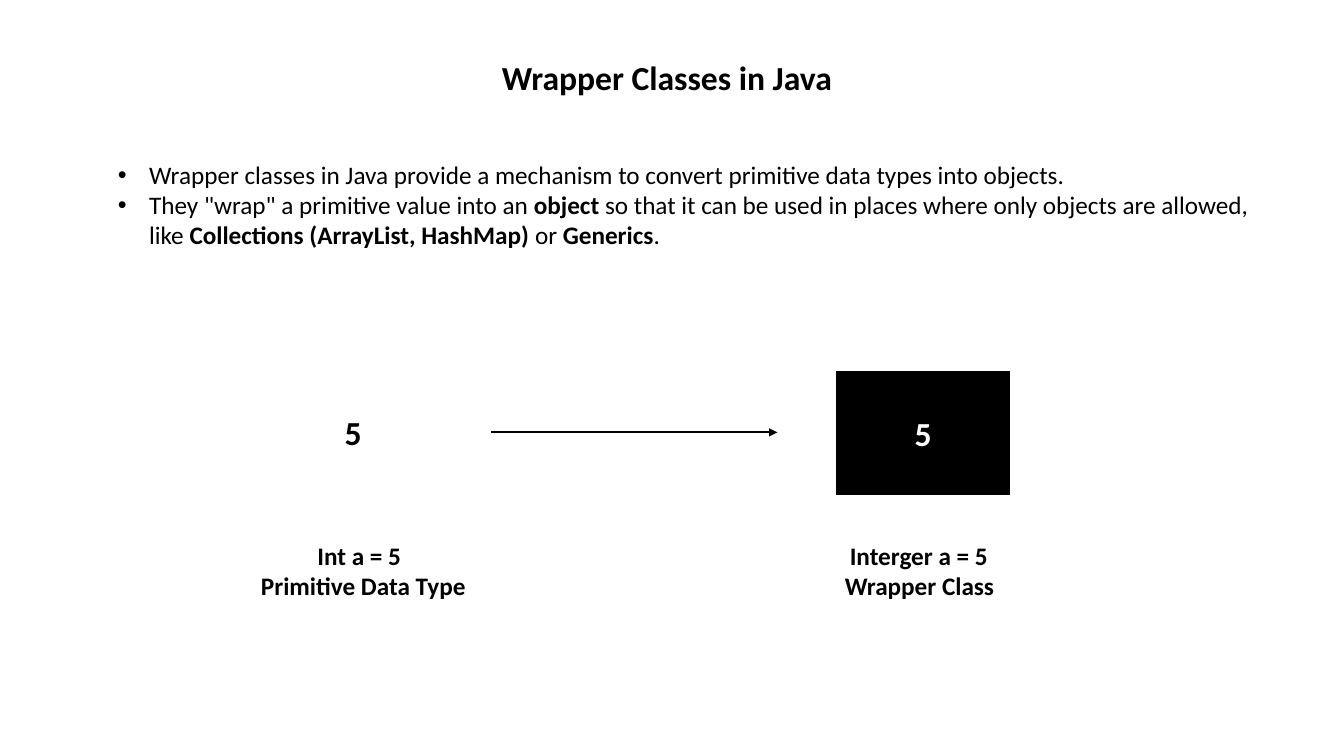
from dataclasses import dataclass

from lxml.etree import SubElement as Sub
from pptx import Presentation
from pptx.dml.color import RGBColor as Color
from pptx.enum.shapes import MSO_CONNECTOR as Link, MSO_SHAPE as Shape
from pptx.enum.text import MSO_ANCHOR as Anchor, MSO_AUTO_SIZE as Fit, PP_ALIGN as Align
from pptx.oxml.ns import qn
from pptx.util import Pt

PX = 9144  # EMU per px, 100 px to the inch


@dataclass(frozen=True)
class Theme:
    font: str = "Calibri"
    ink: Color = Color(0, 0, 0)
    paper: Color = Color(255, 255, 255)
    big: int = 24
    body: int = 18
    rule: float = 1.5
    hang: int = 31


class Board:
    def __init__(self, deck, theme):
        self.theme = theme
        self.slide = deck.slides.add_slide(deck.slide_layouts[6])

    def style(self, run, size, bold=True, color=None):
        font = run.font
        font.name, font.size, font.bold = self.theme.font, Pt(size), bold
        font.color.rgb = color or self.theme.ink

    def frame(self, left, top, width, height, wrap=True):
        box = self.slide.shapes.add_textbox(left * PX, top * PX, width * PX, height * PX)
        frame = box.text_frame
        frame.word_wrap, frame.auto_size = wrap, Fit.SHAPE_TO_FIT_TEXT
        return frame

    def label(self, text, area, size, align=Align.LEFT, wrap=True, indent=0):
        """Bold text; indent shifts the first line only."""
        frame = self.frame(*area, wrap)
        frame.text = text
        for para in frame.paragraphs:
            para.alignment = align
            self.style(para.runs[0], size)
        if indent:
            frame.paragraphs[0]._p.get_or_add_pPr().set("indent", str(indent * PX))

    def bullets(self, items, area):
        """Each item is a list of pieces, plain and bold in turn."""
        frame = self.frame(*area)
        hang = self.theme.hang * PX
        for row, item in enumerate(items):
            para = frame.add_paragraph() if row else frame.paragraphs[0]
            props = para._p.get_or_add_pPr()
            props.set("marL", str(hang))
            props.set("indent", str(-hang))
            Sub(props, qn("a:buFont"), typeface="Arial")
            Sub(props, qn("a:buChar"), char="•")
            for turn, piece in enumerate(item):
                run = para.add_run()
                run.text = piece
                self.style(run, self.theme.body, bold=turn % 2 == 1)

    def block(self, text, area):
        box = self.slide.shapes.add_shape(Shape.RECTANGLE, *(n * PX for n in area))
        box.shadow.inherit = False
        box.fill.solid()
        box.fill.fore_color.rgb = self.theme.ink
        box.line.color.rgb = self.theme.paper
        box.line.width = Pt(self.theme.rule)
        frame = box.text_frame
        frame.text, frame.vertical_anchor = text, Anchor.MIDDLE
        para = frame.paragraphs[0]
        para.alignment = Align.CENTER
        self.style(para.runs[0], self.theme.big, color=self.theme.paper)

    def arrow(self, start, end, level):
        link = self.slide.shapes.add_connector(
            Link.STRAIGHT, start * PX, level * PX, end * PX, level * PX)
        link.line.color.rgb = self.theme.ink
        link.line.width = Pt(self.theme.rule)
        Sub(link.line._get_or_add_ln(), qn("a:tailEnd"), type="triangle")
        Sub(link._element.spPr, qn("a:effectLst"))


def main():
    deck = Presentation()
    deck.slide_width, deck.slide_height = 1333 * PX, 750 * PX
    theme = Theme()
    board = Board(deck, theme)

    # Title and explanation
    board.label("Wrapper Classes in Java", (107, 52, 1109, 91), theme.big, Align.CENTER)
    board.bullets([
        ["Wrapper classes in Java provide a mechanism to convert primitive data types into objects."],
        ['They "wrap" a primitive value into an ', "object",
         " so that it can be used in places where only objects are allowed, like ",
         "Collections (ArrayList, HashMap)", " or ", "Generics", "."],
    ], (107, 153, 1148, 101))

    # Captions
    for text, left, width, indent in (
        ("Int a = 5\nPrimitive Data Type", 249, 224, 56),
        ("Interger a = 5\nWrapper Class", 828, 188, 5),
    ):
        board.label(text, (left, 531, width, 71), theme.body, indent=indent)

    # Primitive value becomes a wrapped one
    board.block("5", (828, 367, 175, 125))
    board.arrow(487, 771, 429)
    board.label("5", (332, 404, 37, 50), theme.big, wrap=False)

    deck.save("out.pptx")


if __name__ == "__main__":
    main()
